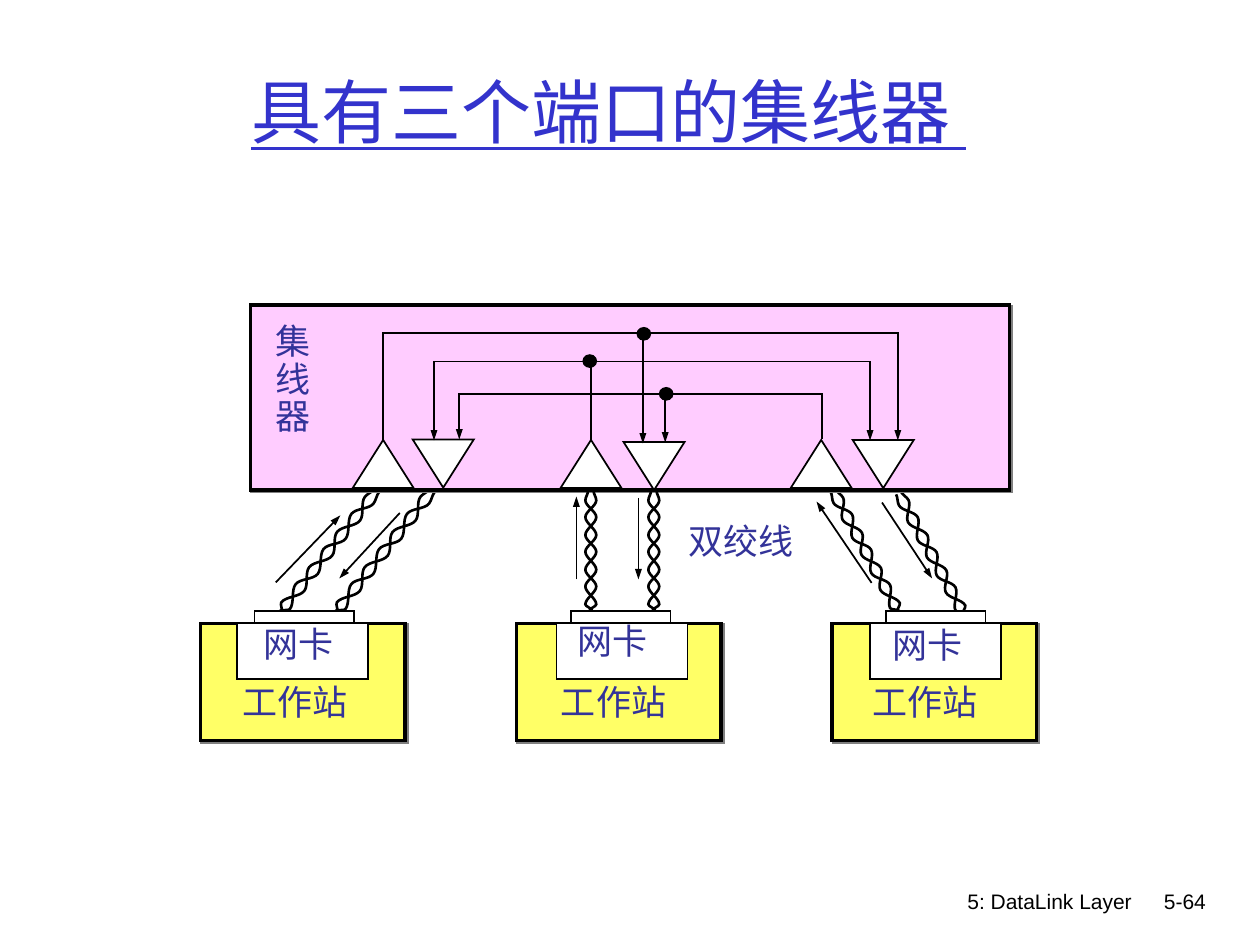
from lxml import etree
from pptx import Presentation
from pptx.dml.color import RGBColor
from pptx.enum import shapes, text
from pptx.oxml import ns
from pptx.util import Cm, Pt

BLACK, WHITE, PINK, YELLOW = "000000", "FFFFFF", "FFCCFF", "FFFF66"
TITLE_BLUE, LABEL_BLUE, SHADOW_GREY = "3333CC", "333399", "808080"
AMPLITUDE = 0.11
# Share of the strand's length and side of its axis, from the lower end up.
STRAND_KNOTS = [(0.02, 0), (0, -0.2), (0.05, 1), (0.2, -1), (0.34, 1), (0.49, -1),
                (0.63, 1), (0.78, -1), (0.92, 1), (1, 0.5)]


def colour(value):
    return RGBColor.from_string(value)


def set_line(shape, width, arrow=None):
    """Style the outline; arrow is headEnd or tailEnd."""
    shape.line.color.rgb = colour(BLACK)
    shape.line.width = Pt(width)
    line = shape.line._get_or_add_ln()
    etree.SubElement(line, ns.qn("a:miter"), lim="800000")
    if arrow:
        etree.SubElement(line, ns.qn(f"a:{arrow}"), type="triangle", w="sm", len="med")


def add_box(slide, kind, left, top, width, height, fill, line_width=1):
    shape = slide.shapes.add_shape(kind, Cm(left), Cm(top), Cm(width), Cm(height))
    shape.shadow.inherit = False
    shape.fill.solid()
    shape.fill.fore_color.rgb = colour(fill)
    set_line(shape, line_width)
    return shape


def add_shadowed_rectangle(slide, left, top, width, height, fill):
    shape = add_box(slide, shapes.MSO_SHAPE.RECTANGLE, left, top, width, height, fill, 2)
    effects = shape._element.spPr.find(ns.qn("a:effectLst"))
    shadow = etree.SubElement(effects, ns.qn("a:outerShdw"), dist=str(Pt(1.4)),
                              dir="2700000", algn="ctr", rotWithShape="0")
    etree.SubElement(shadow, ns.qn("a:srgbClr"), val=SHADOW_GREY)


def add_arrow(slide, start, end, arrow="tailEnd"):
    connector = slide.shapes.add_connector(
        shapes.MSO_CONNECTOR.STRAIGHT, *(Cm(value) for value in (*start, *end)))
    set_line(connector, 1, arrow)
    etree.SubElement(connector._element.spPr, ns.qn("a:effectLst"))


def add_path(parent, points, line_width=1, arrow=None):
    """Draw an open, unfilled outline through points given in centimetres."""
    first, *rest = [(Cm(x), Cm(y)) for x, y in points]
    builder = parent.shapes.build_freeform(*first, scale=1.0)
    builder.add_line_segments(rest, close=False)
    shape = builder.convert_to_shape()
    shape.shadow.inherit = False
    shape.fill.background()
    set_line(shape, line_width, arrow)
    return shape


def bend_segments(shape):
    """Turn straight segments into curves that run level at every knot."""
    points = [(int(point.get("x")), int(point.get("y")))
              for point in shape._element.iter(ns.qn("a:pt"))]
    segments = list(shape._element.iter(ns.qn("a:lnTo")))
    for segment, (x1, y1), (x2, y2) in zip(segments, points, points[1:]):
        third = (x2 - x1) // 3
        curve = etree.Element(ns.qn("a:cubicBezTo"))
        for x, y in ((x1 + third, y1), (x2 - third, y2), (x2, y2)):
            etree.SubElement(curve, ns.qn("a:pt"), x=str(x), y=str(y))
        segment.getparent().replace(segment, curve)


def add_twisted_pair(slide, center_x, center_y, length, rotation):
    group = slide.shapes.add_group_shape()
    direction = 1 if rotation > 180 else -1
    for side in (1, -1):
        points = [(center_x + direction * (part - 0.5) * length,
                   center_y + side * offset * AMPLITUDE) for part, offset in STRAND_KNOTS]
        strand = add_path(group, points, 1.5)
        bend_segments(strand)
        strand.rotation = rotation


def add_run(paragraph, content, size, font, fill):
    run = paragraph.add_run()
    run.text = content
    run.font.size = Pt(size)
    run.font.name = font
    run.font.color.rgb = colour(fill)
    return run


def add_label(slide, left, top, width, height, *lines):
    box = slide.shapes.add_textbox(Cm(left), Cm(top), Cm(width), Cm(height))
    frame = box.text_frame
    frame.word_wrap = False
    frame.auto_size = text.MSO_AUTO_SIZE.SHAPE_TO_FIT_TEXT
    for index, line in enumerate(lines):
        paragraph = frame.add_paragraph() if index else frame.paragraphs[0]
        if len(lines) > 1:
            paragraph.line_spacing = 0.9
        add_run(paragraph, line, 20, "Times New Roman", LABEL_BLUE)


def add_footer(slide, left, width, content):
    box = slide.shapes.add_textbox(Cm(left), Cm(17.78), Cm(width), Cm(1.27))
    box.text_frame.word_wrap = True
    paragraph = box.text_frame.paragraphs[0]
    paragraph.alignment = text.PP_ALIGN.RIGHT
    add_run(paragraph, content, 12, "Arial", BLACK)


def set_title(slide, content):
    title = slide.shapes.title
    title.left, title.top, title.width, title.height = Cm(1.48), Cm(0.63), Cm(21.59), Cm(3.18)
    title.text_frame.vertical_anchor = text.MSO_ANCHOR.MIDDLE
    paragraph = title.text_frame.paragraphs[0]
    paragraph.alignment = text.PP_ALIGN.CENTER
    add_run(paragraph, content, 40, "Comic Neue", TITLE_BLUE).font.underline = True


def add_hub(slide):
    add_shadowed_rectangle(slide, 5.05, 6.15, 15.3, 3.73, PINK)
    triangle = shapes.MSO_SHAPE.ISOSCELES_TRIANGLE
    for left in (7.11, 11.3, 15.94):
        add_box(slide, triangle, left, 8.87, 1.23, 0.97, WHITE)
    for left, top in ((8.32, 8.86), (12.57, 8.91), (17.19, 8.87)):
        add_box(slide, triangle, left, top, 1.23, 0.97, WHITE).rotation = 180
    for wire in (
        [(16.57, 8.86), (16.57, 7.95), (9.26, 7.95), (9.26, 8.86)],
        [(11.91, 8.9), (11.91, 7.29), (17.54, 7.29), (17.54, 8.88)],
        [(11.91, 7.29), (8.75, 7.29), (8.75, 8.88)],
        [(7.72, 8.9), (7.72, 6.71), (18.1, 6.71), (18.1, 8.88)],
    ):
        add_path(slide, wire, arrow="tailEnd")
    add_arrow(slide, (13.41, 7.98), (13.41, 8.92))
    add_arrow(slide, (12.96, 6.76), (12.96, 8.94))
    add_label(slide, 5.31, 6.41, 1.22, 2.54, "集", "线", "器")


def add_station(slide, left, card_left, plug_left, card_label, station_label_left):
    rectangle = shapes.MSO_SHAPE.RECTANGLE
    add_shadowed_rectangle(slide, left, 12.57, 4.13, 2.36, YELLOW)
    add_box(slide, rectangle, card_left, 12.57, 2.64, 1.12, WHITE)
    add_label(slide, *card_label, 1.93, 1.09, "网卡")
    add_label(slide, station_label_left, 13.59, 2.62, 1.09, "工作站")
    add_box(slide, rectangle, plug_left, 12.32, 2.01, 0.23, WHITE)


def main():
    presentation = Presentation()
    presentation.slide_width, presentation.slide_height = Cm(25.4), Cm(19.05)
    slide = presentation.slides.add_slide(presentation.slide_layouts[5])
    add_footer(slide, 15.02, 8.05, "5: DataLink Layer")
    add_footer(slide, 22.68, 1.88, "5-64")
    set_title(slide, "具有三个端口的集线器 ")

    for center_x, center_y, length, rotation in (
        (6.63, 11.11, 3.12, 308.4),
        (7.75, 11.11, 3.12, 308.4),
        (17.45, 11.11, 2.77, 61.7),
        (18.77, 11.16, 2.77, 61.7),
    ):
        add_twisted_pair(slide, center_x, center_y, length, rotation)
    add_hub(slide)
    add_station(slide, 10.41, 11.22, 11.51, (11.4, 12.37), 11.06)
    add_station(slide, 4.04, 4.78, 5.13, (5.07, 12.43), 4.63)
    add_station(slide, 16.77, 17.54, 17.86, (17.75, 12.45), 17.34)
    for x, y in ((11.89, 7.28), (12.98, 6.73), (13.43, 7.94)):
        add_box(slide, shapes.MSO_SHAPE.OVAL, x - 0.13, y - 0.12, 0.26, 0.24, BLACK)
    for start, end in (
        ((11.62, 11.68), (11.62, 10.01)),
        ((12.87, 10.04), (12.87, 11.68)),
        ((5.56, 11.74), (6.86, 10.39)),
        ((8.06, 10.34), (6.84, 11.66)),
    ):
        add_arrow(slide, start, end)
    add_arrow(slide, (16.46, 10.11), (17.57, 11.75), "headEnd")
    add_arrow(slide, (17.78, 10.13), (18.79, 11.66))
    add_label(slide, 13.63, 10.34, 2.62, 1.09, "双绞线")
    for center_x in (13.18, 11.91):
        add_twisted_pair(slide, center_x, 11.1, 2.41, 90)

    presentation.save("out.pptx")


if __name__ == "__main__":
    main()
